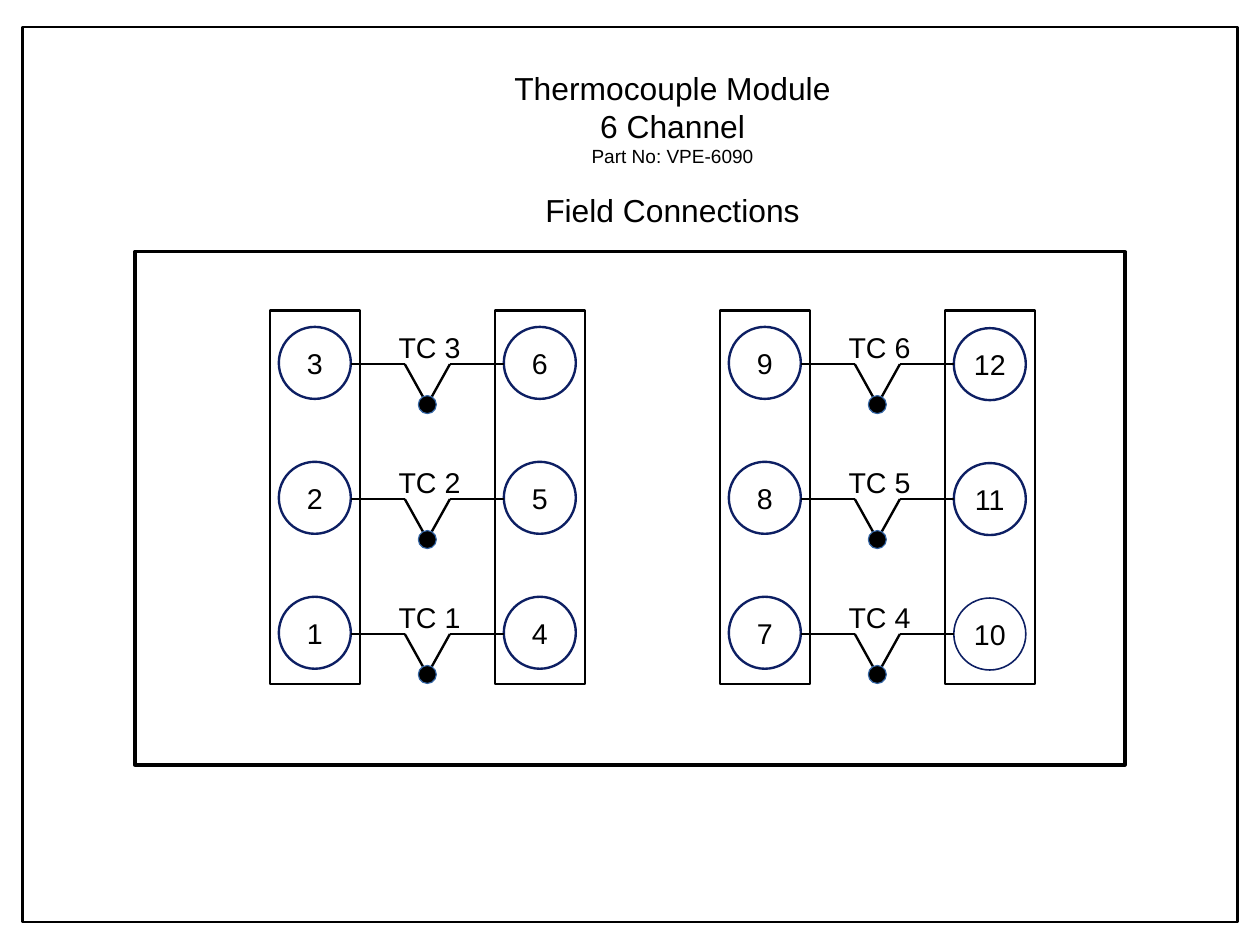
from pptx import Presentation
from pptx.dml.color import RGBColor
from pptx.enum.shapes import MSO_CONNECTOR, MSO_SHAPE
from pptx.enum.text import MSO_ANCHOR, PP_ALIGN
from pptx.util import Pt
from lxml.etree import SubElement
from pptx.oxml.ns import qn

BLACK, NAVY, BLUE = "000000", "0D1F63", "3465A4"
ROWS = 3
PITCH = 85
STEP = 141.73
STRIP = 56.7
RING = 45.35
DOT = 11.35
INSET = (STRIP - RING) / 2


def paint(part, color):
    """Give a fill, line or font colour from a hex string."""
    part.rgb = RGBColor.from_string(color)


def shape(slide, kind, box, color, width, fill=None):
    """Add an outlined preset shape."""
    item = slide.shapes.add_shape(kind, *[Pt(v) for v in box])
    item.shadow.inherit = False
    if fill:
        item.fill.solid()
        paint(item.fill.fore_color, fill)
    else:
        item.fill.background()
    paint(item.line.color, color)
    item.line.width = Pt(width)
    return item


def write(item, lines, align, pad=(7.2, 3.6)):
    """Set unwrapped lines of (text, size, space before)."""
    frame = item.text_frame
    frame.word_wrap = False
    frame.margin_left = frame.margin_right = Pt(pad[0])
    frame.margin_top = frame.margin_bottom = Pt(pad[1])
    frame.text = "\n".join(text for text, size, gap in lines)
    for par, (text, size, gap) in zip(frame.paragraphs, lines):
        par.alignment = align
        if gap:
            par.space_before = Pt(gap)
        for run in par.runs:
            run.font.name = "Arial"
            run.font.size = Pt(size)
            paint(run.font.color, BLACK)


def label(slide, box, lines, align):
    """Add a text box."""
    item = slide.shapes.add_textbox(*[Pt(v) for v in box])
    write(item, lines, align)


def wire(slide, start, end):
    """Add one straight black wire."""
    item = slide.shapes.add_connector(
        MSO_CONNECTOR.STRAIGHT, *[Pt(v) for v in start + end])
    paint(item.line.color, BLACK)
    item.line.width = Pt(1.5)
    SubElement(item._element.spPr, qn("a:effectLst"))


def strip(slide, x, y, first, lift):
    """Draw a terminal strip whose numbers count up from the bottom."""
    shape(slide, MSO_SHAPE.RECTANGLE, (x, y, STRIP, 235.4), BLACK, 1.5)
    for row in range(ROWS):
        num = first + ROWS - 1 - row
        top = y + 33.8 + row * PITCH - RING / 2 - lift
        ring = shape(slide, MSO_SHAPE.OVAL, (x + INSET, top, RING, RING),
                     NAVY, 1 if num == 10 else 1.5)
        ring.text_frame.vertical_anchor = MSO_ANCHOR.MIDDLE
        write(ring, [(str(num), 18, 0)], PP_ALIGN.CENTER, (7.9, 4.3))


def couple(slide, x, y, name):
    """Draw a thermocouple between two terminals, from the left one's edge."""
    span = STEP - RING
    mid = x + span / 2
    left, right, tip = (mid - 14.2, y), (mid + 14.2, y), (mid, y + 25.5)
    for start, end in (((x, y), left), (right, (x + span, y)),
                       (left, tip), (right, tip)):
        wire(slide, start, end)
    shape(slide, MSO_SHAPE.OVAL,
          (mid - DOT / 2, tip[1] - DOT / 2, DOT, DOT), BLUE, 0, BLACK)
    label(slide, (mid - 25.2, y - 25.3, 53.3, 27.4),
          [(name, 18, 0)], PP_ALIGN.LEFT)


def block(slide, x, y, pair, lifts):
    """Draw two strips and the three thermocouples between them."""
    for side, lift in enumerate(lifts):
        first = (2 * pair + side) * ROWS + 1
        strip(slide, x + side * STEP, y, first, lift)
    for row in range(ROWS):
        couple(slide, x + INSET + RING, y + 33.8 + row * PITCH,
               f"TC {(pair + 1) * ROWS - row}")


def title(slide, x, y, w, h):
    """Write the heading."""
    label(slide, (x, y, w, h), [
        ("Thermocouple Module\v6 Channel", 20, 0),
        ("Part No: VPE-6090", 12, 0),
        ("Field Connections", 20, 14.5)], PP_ALIGN.CENTER)


def panel(slide, x, y, w, h):
    """Draw the module panel with both blocks."""
    shape(slide, MSO_SHAPE.RECTANGLE, (x, y, w, h), BLACK, 2.3)
    for pair, lifts in enumerate(((0.8, 0.8), (0.8, 0))):
        block(slide, x + 85 + pair * 2 * STEP, y + 37.1, pair, lifts)


def main():
    """Build and save the slide."""
    deck = Presentation()
    deck.slide_width, deck.slide_height = Pt(793.7), Pt(595.28)
    slide = deck.slides.add_slide(deck.slide_layouts[6])
    shape(slide, MSO_SHAPE.RECTANGLE, (14.2, 17, 765.4, 563.8), BLACK, 1.5)
    title(slide, 300.2, 39.6, 247, 123)
    panel(slide, 85, 158.5, 623.5, 323.3)
    deck.save("out.pptx")


if __name__ == "__main__":
    main()
